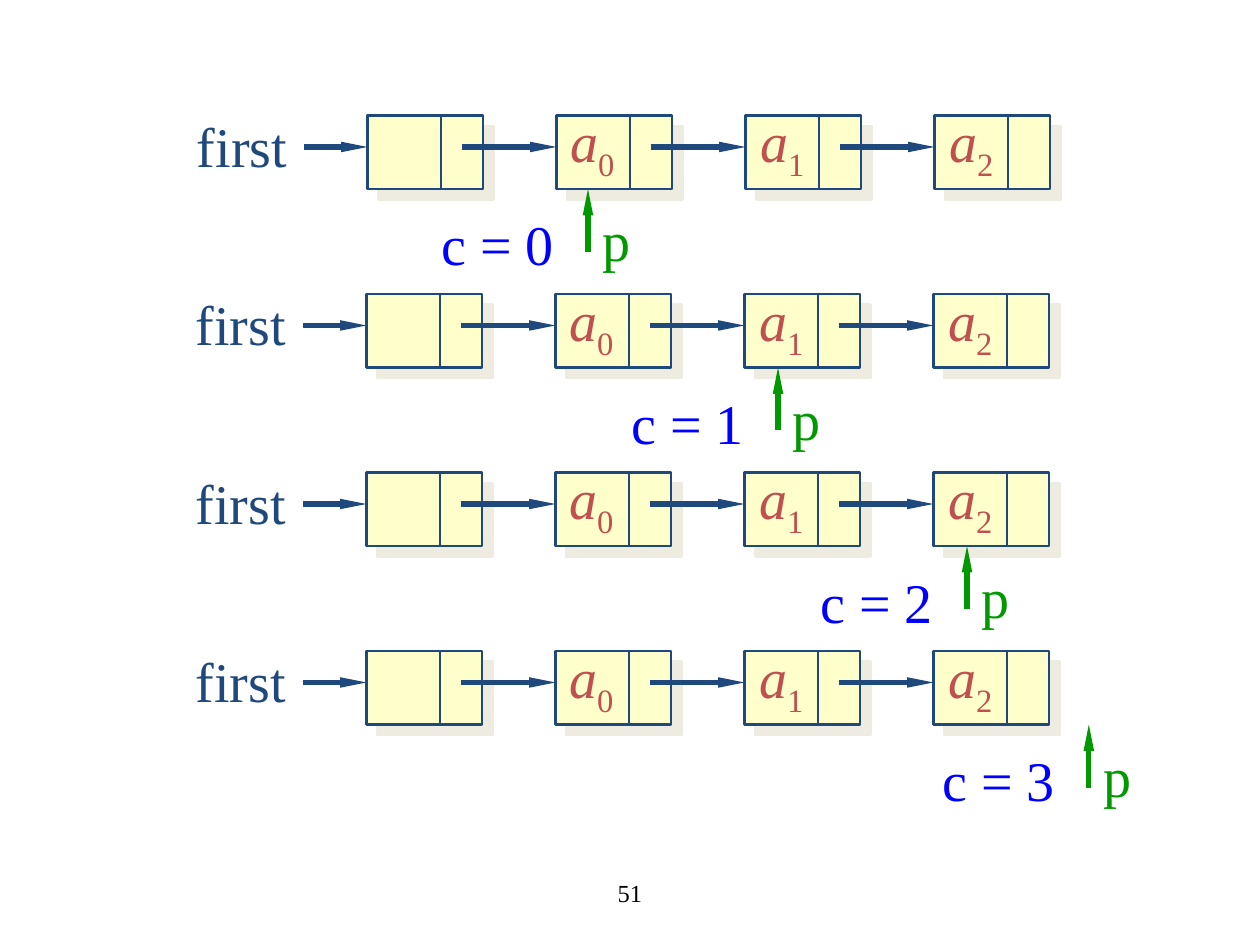
import pptx
import pptx.util
import pptx.dml.color
import pptx.enum.shapes
import pptx.enum.text
import pptx.oxml
import pptx.oxml.ns

# One px is 1/120 inch, the grid on which the lists are drawn.
SCALE = 914400 // 120
FONT = "Times New Roman"
NAVY, CREAM, SHADOW = "1F497D", "FFFFCC", "EEECE1"
RED, GREEN, BLUE, BLACK = "C0504D", "009900", "0000FF", "000000"

PAGE_NUMBER = "51"
NODE_INDEXES = ["", "0", "1", "2"]  # the head node holds no value
# (left of the head node, counter text, x of pointer p)
STEPS = [
    (350, "c = 0", 560),
    (349, "c = 1", 741),
    (349, "c = 2", 921),
    (349, "c = 3", 1037),
]
FIRST_TOP, STEP_PITCH = 110, 170
NODE_WIDTH, NODE_HEIGHT, NODE_PITCH = 110, 70, 180
DIVIDER, LINK_START, LINK_Y = 70, 90, 30
TEXT_HEIGHT = 76


def px(length):
    return pptx.util.Emu(length * SCALE)


def color(hex_string):
    return pptx.dml.color.RGBColor.from_string(hex_string)


def add_effects(shape, content=""):
    """Replace the theme's effects with the given ones, or with none."""
    namespace = pptx.oxml.ns.nsdecls("a")
    shape._element.spPr.append(pptx.oxml.parse_xml(
        f"<a:effectLst {namespace}>{content}</a:effectLst>"))


def add_line(slide, start, end, line_color, width, arrow=False):
    line = slide.shapes.add_connector(
        pptx.enum.shapes.MSO_CONNECTOR.STRAIGHT,
        *map(px, start), *map(px, end))
    line.line.color.rgb = color(line_color)
    line.line.width = pptx.util.Pt(width)
    if arrow:
        namespace = pptx.oxml.ns.nsdecls("a")
        line.line._get_or_add_ln().append(pptx.oxml.parse_xml(
            f'<a:tailEnd {namespace} type="triangle" w="sm" len="lg"/>'))
    add_effects(line)


def add_text(slide, box, text, text_color, size=32, wrap=False):
    text_box = slide.shapes.add_textbox(*map(px, box))
    frame = text_box.text_frame
    frame.word_wrap = wrap
    frame.vertical_anchor = pptx.enum.text.MSO_ANCHOR.MIDDLE
    paragraph = frame.paragraphs[0]
    paragraph.alignment = pptx.enum.text.PP_ALIGN.CENTER
    paragraph.font.name = FONT
    paragraph.font.size = pptx.util.Pt(size)
    paragraph.font.color.rgb = color(text_color)
    paragraph.add_run().text = text
    return paragraph


def add_node(slide, left, top):
    node = slide.shapes.add_shape(
        pptx.enum.shapes.MSO_SHAPE.RECTANGLE,
        *map(px, (left, top, NODE_WIDTH, NODE_HEIGHT)))
    node.fill.solid()
    node.fill.fore_color.rgb = color(CREAM)
    node.line.color.rgb = color(NAVY)
    node.line.width = pptx.util.Pt(1.5)
    add_effects(node, f'<a:outerShdw dist="{pptx.util.Pt(8.5)}" dir="2700000" '
                      f'algn="ctr" rotWithShape="0">'
                      f'<a:srgbClr val="{SHADOW}"/></a:outerShdw>')
    add_line(slide, (left + DIVIDER, top),
             (left + DIVIDER, top + NODE_HEIGHT), NAVY, 1.5)


def add_value(slide, left, top, index):
    """Write the letter a with its subscript in a node."""
    paragraph = add_text(slide, (left, top - 10, 68, TEXT_HEIGHT), "a", RED)
    paragraph.runs[0].font.italic = True
    subscript = paragraph.add_run()
    subscript.text = index
    subscript.font._element.set("baseline", "-25000")


def add_step(slide, left, top, counter, pointer_x):
    link_y = top + LINK_Y
    for position, index in enumerate(NODE_INDEXES):
        node_left = left + position * NODE_PITCH
        add_node(slide, node_left, top)
        if position:
            add_value(slide, node_left + (position > 1), top, index)
        if position < len(NODE_INDEXES) - 1:
            add_line(slide, (node_left + LINK_START, link_y),
                     (node_left + NODE_PITCH, link_y), NAVY, 3, arrow=True)

    add_line(slide, (left - 60, link_y), (left, link_y), NAVY, 3, arrow=True)
    add_text(slide, (left - 179, top - 10, 119, TEXT_HEIGHT), "first", NAVY)

    bottom = top + NODE_HEIGHT
    add_line(slide, (pointer_x, bottom + 60), (pointer_x, bottom),
             GREEN, 3, arrow=True)
    add_text(slide, (pointer_x, bottom + 10, 54, TEXT_HEIGHT), "p", GREEN)
    add_text(slide, (pointer_x - 152, bottom + 14, 132, TEXT_HEIGHT),
             counter, BLUE)


def main():
    presentation = pptx.Presentation()
    presentation.slide_width, presentation.slide_height = px(1200), px(900)
    slide = presentation.slides.add_slide(presentation.slide_layouts[6])
    for row, (left, counter, pointer_x) in enumerate(STEPS):
        add_step(slide, left, FIRST_TOP + row * STEP_PITCH, counter, pointer_x)
    add_text(slide, (410, 820, 380, 60), PAGE_NUMBER, BLACK, size=14, wrap=True)
    presentation.save("out.pptx")


if __name__ == "__main__":
    main()
